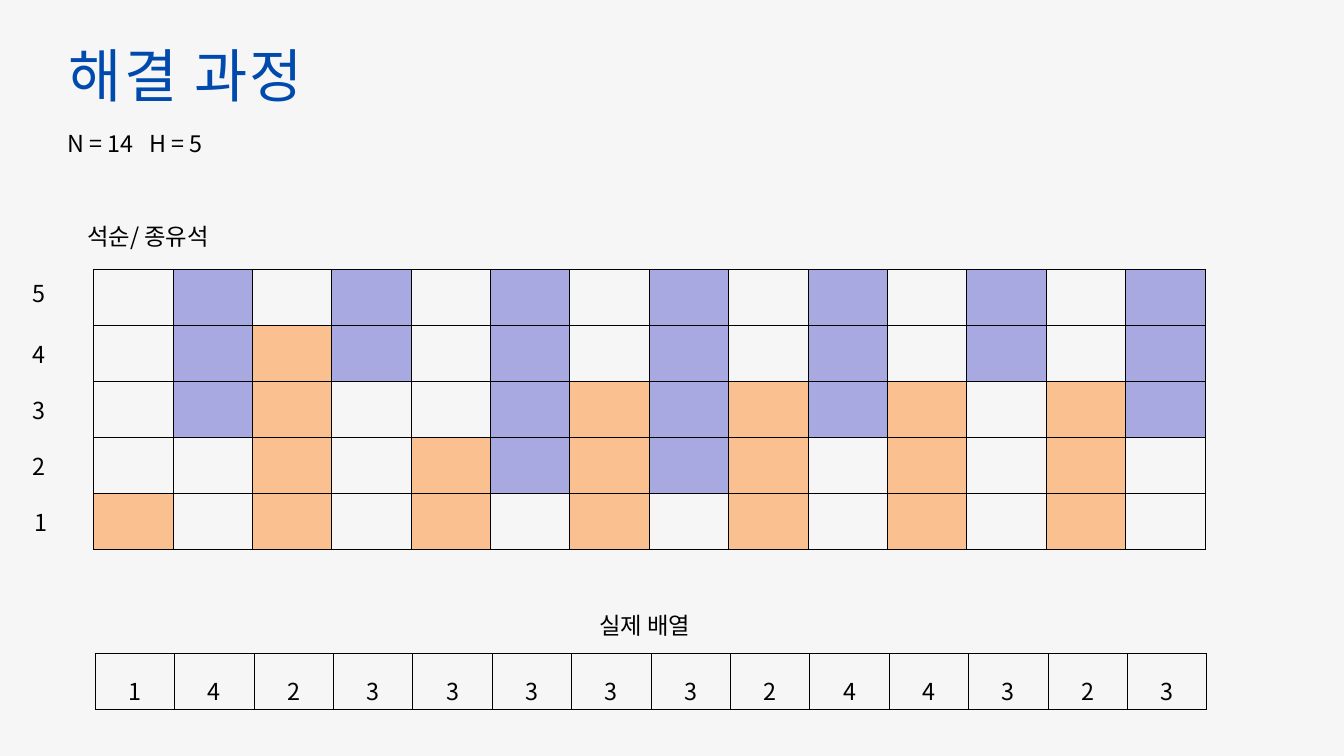
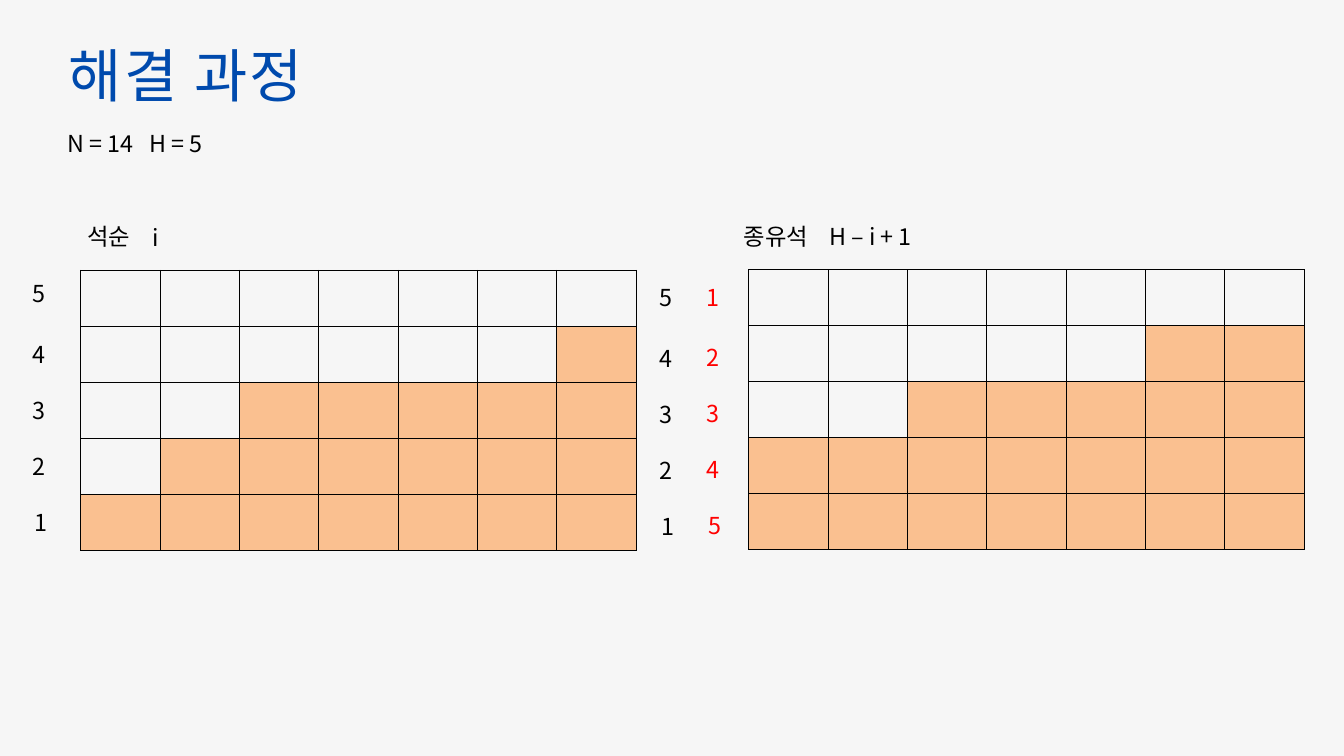
from lxml import etree
from pptx import Presentation
from pptx.dml.color import RGBColor
from pptx.enum import text as t
from pptx.oxml.ns import qn
from pptx.util import Pt

FONT = "Noto Sans CJK KR"
BACKGROUND = RGBColor(0xF6, 0xF6, 0xF6)
TITLE_BLUE = RGBColor(0x00, 0x4A, 0xAD)
BLACK = RGBColor(0x00, 0x00, 0x00)
RED = RGBColor(0xFF, 0x00, 0x00)
PURPLE = RGBColor(0xA9, 0xA9, 0xE1)
ORANGE = RGBColor(0xFA, 0xC0, 0x90)

TEXT_SIZE = 25
TEXT_HEIGHT = 37.5
LABEL_WIDTH = 84
COLUMN_WIDTH, ROW_HEIGHT = 85.06, 60
GRID_TOP = 288.75
CAPTION_TOP = 234.75
LABEL_OFFSETS = (0, 65, 125, 185, 245)

CAVE_HEIGHT = 5
OBSTACLES = [1, 3, 4, 2, 2, 4, 3, 4, 3, 3, 3, 2, 3, 3]
STALAGMITES, STALACTITES = OBSTACLES[::2], OBSTACLES[1::2]
HALF = len(OBSTACLES) // 2


class Deck:
    def __init__(self):
        self.presentation = Presentation()
        self.presentation.slide_width = Pt(1440)
        self.presentation.slide_height = Pt(810)
        self.slide = None

    def add_slide(self):
        self.slide = self.presentation.slides.add_slide(self.presentation.slide_layouts[6])
        fill = self.slide.background.fill
        fill.solid()
        fill.fore_color.rgb = BACKGROUND
        self.title("해결 과정")
        self.text("N = 14", 64.8, 134.75, 103)
        self.text("H = 5", 152.75, 135.25, 103)

    def style(self, paragraph, size=TEXT_SIZE, color=BLACK, spacing=None):
        font = paragraph.font
        font.size = Pt(size)
        font.color.rgb = color
        font.name = FONT
        properties = paragraph._p.pPr.find(qn("a:defRPr"))
        etree.SubElement(properties, qn("a:ea"), typeface=FONT)
        if spacing:
            properties.set("spc", str(round(spacing * 100)))

    def box(self, words, left, top, width, height):
        frame = self.slide.shapes.add_textbox(Pt(left), Pt(top), Pt(width), Pt(height)).text_frame
        frame.word_wrap = True
        frame.auto_size = t.MSO_AUTO_SIZE.SHAPE_TO_FIT_TEXT
        frame.text = words
        return frame

    def title(self, words):
        frame = self.box(words, 62, 29.5, 274.5, 85)
        frame.margin_left = frame.margin_top = frame.margin_right = frame.margin_bottom = 0
        paragraph = frame.paragraphs[0]
        paragraph.alignment = t.PP_ALIGN.CENTER
        paragraph.line_spacing = Pt(86.9)
        self.style(paragraph, 62, TITLE_BLUE, 2.2)

    def text(self, words, left, top, width):
        self.style(self.box(words, left, top, width, TEXT_HEIGHT).paragraphs[0])

    def label(self, words, left, top, width=LABEL_WIDTH, color=BLACK):
        frame = self.box(words, left, top, width, TEXT_HEIGHT)
        frame.vertical_anchor = t.MSO_ANCHOR.MIDDLE
        frame.paragraphs[0].alignment = t.PP_ALIGN.CENTER
        self.style(frame.paragraphs[0], color=color)

    def row_labels(self, labels, left, top, color=BLACK):
        """Write one label beside each grid row, the last set slightly to the right."""
        for label, offset in zip(labels, LABEL_OFFSETS):
            shift = 2.2 if offset == LABEL_OFFSETS[-1] else 0
            self.label(label, left + shift, top + offset, color=color)

    def table(self, left, top, rows, columns):
        table = self.slide.shapes.add_table(
            rows, columns, Pt(left), Pt(top),
            Pt(columns * COLUMN_WIDTH), Pt(rows * ROW_HEIGHT)).table
        table.first_row = table.horz_banding = False
        for column in table.columns:
            column.width = Pt(COLUMN_WIDTH)
        for row in table.rows:
            row.height = Pt(ROW_HEIGHT)
        for cell in table.iter_cells():
            self.border(cell)
            cell.fill.background()
        return table

    def border(self, cell):
        properties = cell._tc.get_or_add_tcPr()
        for side in ("a:lnL", "a:lnR", "a:lnT", "a:lnB"):
            line = etree.SubElement(properties, qn(side), w=str(Pt(1)))
            fill = etree.SubElement(line, qn("a:solidFill"))
            etree.SubElement(fill, qn("a:srgbClr"), val=str(BLACK))

    def cave(self, left, top, columns):
        """Draw a grid; each column is (height, hanging), filled from the ceiling or the floor."""
        table = self.table(left, top, CAVE_HEIGHT, len(columns))
        for column, (height, hanging) in enumerate(columns):
            first = 0 if hanging else CAVE_HEIGHT - height
            for row in range(first, first + height):
                fill = table.cell(row, column).fill
                fill.solid()
                fill.fore_color.rgb = PURPLE if hanging else ORANGE

    def array(self, left, top, values):
        table = self.table(left, top, 1, len(values))
        for cell, value in zip(table.iter_cells(), values):
            cell.text = str(value)
            paragraph = cell.text_frame.paragraphs[0]
            paragraph.alignment = t.PP_ALIGN.CENTER
            paragraph.line_spacing = 1.5
            self.style(paragraph)


def add_cave_slide(deck):
    deck.add_slide()
    deck.text("석순/ 종유석", 86.4, CAPTION_TOP, 160)
    deck.row_labels("54321", -0.7, 295.2)
    columns = [(height, index % 2 == 1) for index, height in enumerate(OBSTACLES)]
    halves = (columns[:HALF], STALAGMITES), (columns[HALF:], STALACTITES)
    for index, (cave, values) in enumerate(halves):
        shift = index * HALF * COLUMN_WIDTH
        deck.cave(100.3 + shift, GRID_TOP, cave)
        deck.array(102.2 + shift, 700.5, values)
    deck.text("실제 배열", 635, 651, 121.7)


def add_sorted_slide(deck):
    deck.add_slide()
    for left, top, heights in ((86.4, 289.5, STALAGMITES), (802, GRID_TOP, STALACTITES)):
        deck.cave(left, top, [(height, False) for height in sorted(heights)])
    deck.text("석순", 86.4, CAPTION_TOP, 69)
    deck.label("i", 125.3, 235.4)
    deck.text("종유석", 789.8, CAPTION_TOP, 90)
    deck.label("H – i + 1", 858.2, CAPTION_TOP, 149)
    deck.row_labels("54321", -0.7, 295.2)
    deck.row_labels("54321", 671.8, 300)
    deck.row_labels("12345", 721.8, 299.2, RED)


def main():
    deck = Deck()
    add_cave_slide(deck)
    add_sorted_slide(deck)
    deck.presentation.save("out.pptx")


if __name__ == "__main__":
    main()
